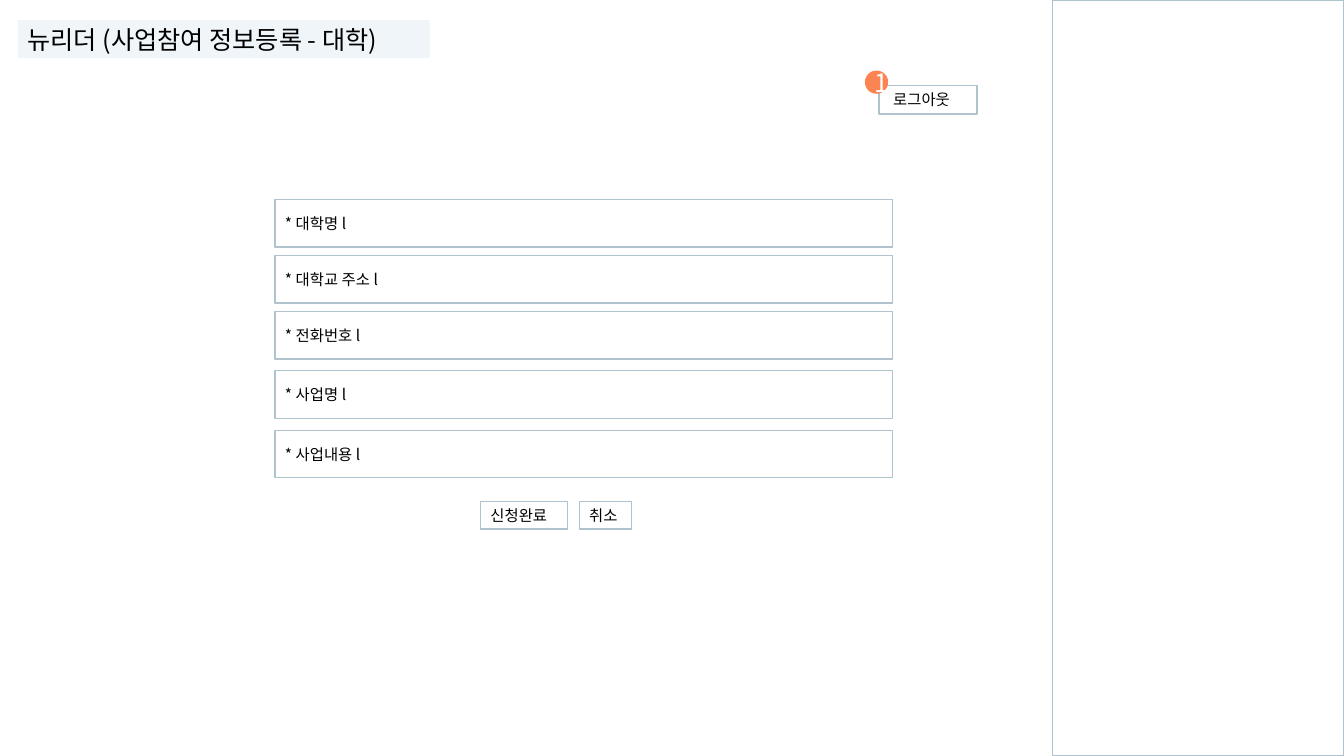
import pptx
import pptx.util
import pptx.dml.color
import pptx.enum.shapes
import pptx.enum.text
import pptx.oxml.ns
import lxml.etree

Pt = pptx.util.Pt
RGB = pptx.dml.color.RGBColor
SHAPE = pptx.enum.shapes.MSO_SHAPE
ALIGN = pptx.enum.text.PP_ALIGN
ANCHOR = pptx.enum.text.MSO_ANCHOR

FONT = "Noto Sans CJK KR"
BLACK = RGB(0x00, 0x00, 0x00)
WHITE = RGB(0xFF, 0xFF, 0xFF)
BORDER = RGB(0xAF, 0xC3, 0xCE)
TITLE_FILL = RGB(0xF0, 0xF5, 0xF9)
ORANGE = RGB(0xFC, 0x84, 0x53)


def write(sp, text, size=11, color=BLACK, align=ALIGN.LEFT, anchor=ANCHOR.MIDDLE):
    tf = sp.text_frame
    tf.word_wrap = True
    tf.vertical_anchor = anchor
    p = tf.paragraphs[0]
    p.alignment = align
    r = p.add_run()
    r.text = text
    r.font.size = Pt(size)
    r.font.color.rgb = color
    r.font.name = FONT
    ea = lxml.etree.SubElement(r.font._element, pptx.oxml.ns.qn("a:ea"))
    ea.set("typeface", FONT)


def add_box(left, top, width, height, kind=SHAPE.RECTANGLE, fill=None):
    """Add a filled shape without a line, or an outlined one without a fill."""
    sp = s.shapes.add_shape(kind, Pt(left), Pt(top), Pt(width), Pt(height))
    sp.shadow.inherit = False
    if fill is None:
        sp.fill.background()
        sp.line.color.rgb = BORDER
        sp.line.width = Pt(1)
    else:
        sp.fill.solid()
        sp.fill.fore_color.rgb = fill
        sp.line.fill.background()
    return sp


prs = pptx.Presentation()
prs.slide_width = Pt(960)
prs.slide_height = Pt(540)
s = prs.slides.add_slide(prs.slide_layouts[6])

# Title
title = add_box(12.5, 14.4, 294.5, 27, fill=TITLE_FILL)
write(title, "뉴리더 (사업참여 정보등록 - 대학)", size=18)

# Logout button with its numbered marker
logout = s.shapes.add_textbox(Pt(628), Pt(61), Pt(97), Pt(47.5))
logout.text_frame.margin_left = Pt(10)
write(logout, "로그아웃", anchor=ANCHOR.TOP)
add_box(628, 61, 70, 20.5)
marker = add_box(617.8, 50.4, 16.6, 16.6, kind=SHAPE.OVAL, fill=ORANGE)
write(marker, "1", size=18, color=WHITE, align=ALIGN.CENTER)

# Description panel
add_box(751.7, 0, 208.3, 540)

# Form fields
fields = [
    ("대학명", 142.5),
    ("대학교 주소", 182.5),
    ("전화번호", 222.5),
    ("사업명", 264.8),
    ("사업내용", 307.3),
]
for label, top in fields:
    write(add_box(196.5, top, 441, 34), f"* {label} l")

# Form buttons
for label, left, width in [("신청완료", 343.2, 62), ("취소", 413.8, 37.3)]:
    write(add_box(left, 358.4, width, 19.5), label)

prs.save("out.pptx")
